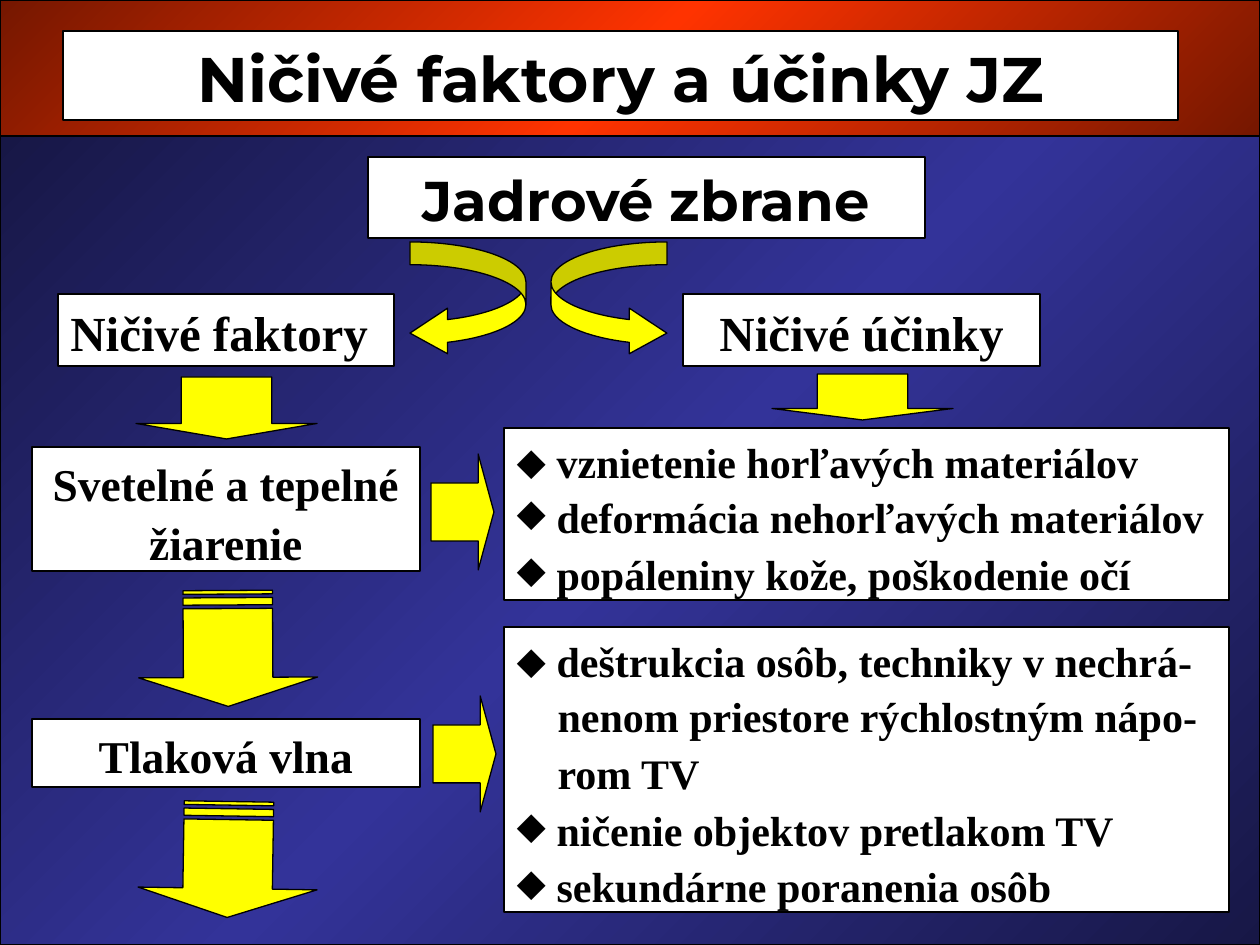
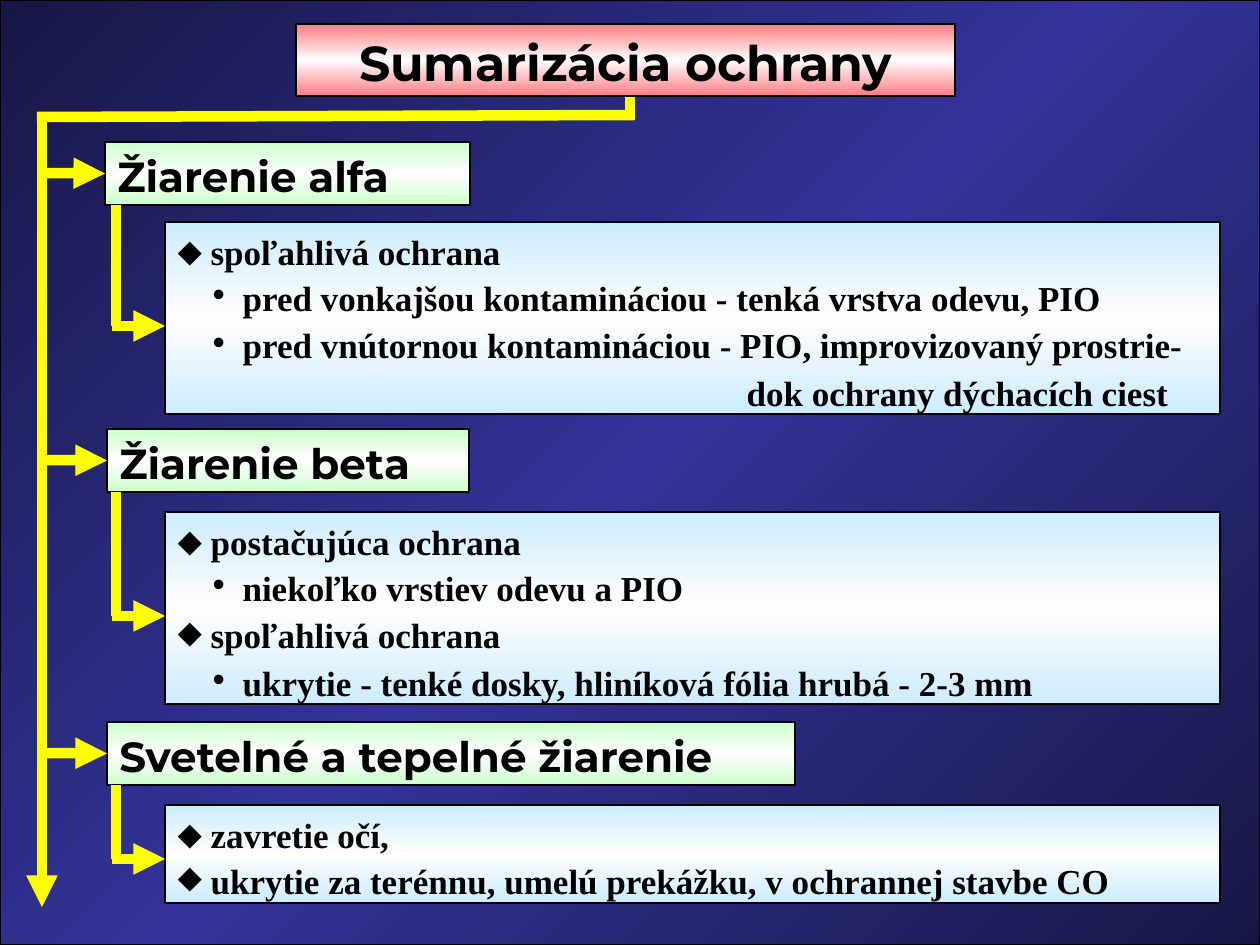
from copy import deepcopy

from pptx import Presentation
from pptx import util as u
from pptx.dml.color import RGBColor
from pptx.enum import shapes, text
from pptx.oxml.ns import qn
from lxml import etree

SCALE = 914400 / 126
WIDTH, HEIGHT = 1260, 945
BAND_HEIGHT = 136

BLACK = RGBColor(0x00, 0x00, 0x00)
WHITE = RGBColor(0xFF, 0xFF, 0xFF)
YELLOW = RGBColor(0xFF, 0xFF, 0x00)
NIGHT = (RGBColor(0x17, 0x17, 0x46), RGBColor(0x33, 0x33, 0x99), 315)
FIRE = (RGBColor(0x75, 0x17, 0x00), RGBColor(0xFF, 0x33, 0x00), 315)
PINK = (RGBColor(0xFF, 0x7C, 0x80), RGBColor(0xFE, 0xFE, 0xFE), 90)
GREEN = (RGBColor(0xCC, 0xFF, 0xCC), RGBColor(0xFE, 0xFE, 0xFE), 90)
SKY = (RGBColor(0xCC, 0xEC, 0xFF), RGBColor(0xFE, 0xFE, 0xFE), 90)

SANS, SERIF, BULLET_FONT = "Montserrat", "Times New Roman", "Arial"
LEFT, CENTER = text.PP_ALIGN.LEFT, text.PP_ALIGN.CENTER
FRAME = {
    "word_wrap": True,
    "auto_size": text.MSO_AUTO_SIZE.NONE,
    "vertical_anchor": text.MSO_ANCHOR.TOP,
    "margin_left": u.Inches(0.1),
    "margin_right": u.Inches(0.1),
    "margin_top": u.Inches(0.07),
    "margin_bottom": u.Inches(0.03),
}
FACTOR_STYLES = {"item": ("⬥", 40, 40), "more": (None, 41, 0)}
PROTECTION_STYLES = {
    "item": ("⬥", 33, 33),
    "sub": ("•", 65, 30),
    "more": (None, 569, 0),
}

FACTOR_LISTS = [
    ((504, 428, 725, 172), [
        ("item", "vznietenie horľavých materiálov"),
        ("item", "deformácia nehorľavých materiálov"),
        ("item", "popáleniny kože, poškodenie očí"),
    ]),
    ((504, 627, 725, 285), [
        ("item", "deštrukcia osôb, techniky v nechrá-"),
        ("more", "nenom priestore rýchlostným nápo-"),
        ("more", "rom TV"),
        ("item", "ničenie objektov pretlakom TV"),
        ("item", "sekundárne poranenia osôb"),
    ]),
]
FACTOR_LABELS = [
    ((368, 157, 557, 81), ["Jadrové zbrane"], 32, SANS, CENTER),
    ((58, 294, 336, 72), ["Ničivé faktory"], 28, SERIF, LEFT),
    ((683, 294, 357, 72), ["Ničivé účinky"], 28, SERIF, CENTER),
    ((32, 447, 388, 124), ["Svetelné a tepelné", "žiarenie"], 26, SERIF, CENTER),
    ((32, 719, 388, 68), ["Tlaková vlna"], 26, SERIF, CENTER),
]
KIND = shapes.MSO_SHAPE
FACTOR_ARROWS = [
    (KIND.CURVED_LEFT_ARROW, (410, 242, 116, 114), (0.2, 0.4, 0.33), 0),
    (KIND.CURVED_RIGHT_ARROW, (551, 242, 116, 114), (0.2, 0.4, 0.33), 0),
    (KIND.DOWN_ARROW, (136, 377, 181, 62), (0.5, 0.25), 0),
    (KIND.DOWN_ARROW, (772, 374, 181, 46), (0.5, 0.25), 0),
    (KIND.RIGHT_ARROW, (431, 454, 63, 116), (0.5, 0.25), 0),
    (KIND.RIGHT_ARROW, (433, 696, 63, 116), (0.5, 0.25), 0),
    (KIND.STRIPED_RIGHT_ARROW, (170, 559, 116, 179), (0.5, 0.25), 89.7),
    (KIND.STRIPED_RIGHT_ARROW, (170, 770, 116, 179), (0.5, 0.25), 90.9),
]
PROTECTIONS = [
    ("Žiarenie alfa", (105, 142, 365, 63), (165, 222, 1055, 192), 326, [
        ("item", "spoľahlivá ochrana"),
        ("sub", "pred vonkajšou kontamináciou - tenká vrstva odevu, PIO"),
        ("sub", "pred vnútornou kontamináciou - PIO, improvizovaný prostrie-"),
        ("more", "dok ochrany dýchacích ciest"),
    ]),
    ("Žiarenie beta", (107, 429, 362, 63), (165, 512, 1055, 192), 616, [
        ("item", "postačujúca ochrana"),
        ("sub", "niekoľko vrstiev odevu a PIO"),
        ("item", "spoľahlivá ochrana"),
        ("sub", "ukrytie - tenké dosky, hliníková fólia hrubá - 2-3 mm"),
    ]),
    ("Svetelné a tepelné žiarenie", (107, 722, 688, 63), (165, 805, 1055, 98), 859, [
        ("item", "zavretie očí,"),
        ("item", "ukrytie za terénnu, umelú prekážku, v ochrannej stavbe CO"),
    ]),
]


def px(length):
    """Turn a length in px into EMU."""
    return u.Emu(round(length * SCALE))


def assign(target, values):
    """Set each attribute named in a dict of format values."""
    for name, value in values.items():
        setattr(target, name, value)


def place(shape, box):
    """Move a placeholder to a box."""
    assign(shape, dict(zip(("left", "top", "width", "height"), map(px, box))))


def paint(shape, fill):
    """Fill a shape with a colour or a mirrored gradient, and outline it."""
    if isinstance(fill, RGBColor):
        shape.fill.solid()
        shape.fill.fore_color.rgb = fill
    else:
        edge, middle, angle = fill
        shape.fill.gradient()
        shape.fill.gradient_angle = angle
        first, second = shape.fill.gradient_stops
        first.color.rgb, second.color.rgb = edge, middle
        first.position, second.position = 0, 0.5
        stops = shape._element.spPr.find(qn("a:gradFill")).find(qn("a:gsLst"))
        last = deepcopy(stops[0])
        last.set("pos", "100000")
        stops.append(last)
    shape.line.color.rgb = BLACK
    shape.line.width = u.Pt(0.75)


def set_bullet(paragraph, style):
    """Give a paragraph its indents and bullet."""
    mark, margin, hanging = style
    properties = paragraph._p.get_or_add_pPr()
    properties.set("marL", str(px(margin)))
    properties.set("indent", str(px(-hanging)))
    if mark:
        etree.SubElement(properties, qn("a:buFont")).set("typeface", BULLET_FONT)
        etree.SubElement(properties, qn("a:buChar")).set("char", mark)
    else:
        etree.SubElement(properties, qn("a:buNone"))


def write(shape, lines, size, font, align=LEFT, styles=None):
    """Write lines of text, or (style, text) items, into a shape."""
    frame = shape.text_frame
    assign(frame, FRAME)
    for number, line in enumerate(lines):
        paragraph = frame.add_paragraph() if number else frame.paragraphs[0]
        if styles:
            kind, line = line
            set_bullet(paragraph, styles[kind])
        assign(paragraph, {
            "alignment": align,
            "line_spacing": 0.5 if number else 1.0,
            "space_before": u.Pt(size * 0.625 if number else 0),
            "space_after": u.Pt(size * 0.125 if number else 0),
        })
        run = paragraph.add_run()
        run.text = line
        assign(run.font, {"name": font, "size": u.Pt(size), "bold": True})
        run.font.color.rgb = BLACK


def add_backdrop(slide, box, fill):
    """Put a gradient panel behind everything on the slide."""
    panel = slide.shapes.add_shape(KIND.RECTANGLE, *map(px, box))
    panel.shadow.inherit = False
    paint(panel, fill)
    slide.shapes._spTree.insert(2, panel._element)


def set_title(slide, box, words, size, fill):
    """Place and format the slide title."""
    title = slide.shapes.title
    place(title, box)
    paint(title, fill)
    write(title, [words], size, SANS, CENTER)


def set_list(body, box, items, size, fill, styles):
    """Place and format a bulleted list in a body placeholder."""
    place(body, box)
    paint(body, fill)
    write(body, items, size, SERIF, LEFT, styles)


def add_label(slide, box, lines, size, font, align, fill=WHITE):
    """Add a framed label and return it."""
    label = slide.shapes.add_textbox(*map(px, box))
    paint(label, fill)
    write(label, lines, size, font, align)
    return label


def add_block_arrow(slide, kind, box, adjustments, rotation):
    """Add a yellow block arrow."""
    arrow = slide.shapes.add_shape(kind, *map(px, box))
    arrow.shadow.inherit = False
    arrow.rotation = rotation
    for number, value in enumerate(adjustments):
        arrow.adjustments[number] = value
    paint(arrow, YELLOW)


def add_line(slide, start, end, arrow=False):
    """Add a thick yellow line, with or without an arrowhead."""
    line = slide.shapes.add_connector(
        shapes.MSO_CONNECTOR.STRAIGHT, *map(px, start + end))
    line.line.color.rgb = YELLOW
    line.line.width = u.Pt(6)
    if arrow:
        etree.SubElement(line.line._ln, qn("a:tailEnd")).set("type", "triangle")
    etree.SubElement(line._element.spPr, qn("a:effectLst"))
    return line


def body_placeholders(slide):
    """List the placeholders of a slide other than its title."""
    return [shape for shape in slide.placeholders
            if shape.placeholder_format.idx > 0]


def add_protection(slide, body, words, heading_box, list_box, arrow_y, items):
    """Add one kind of radiation with its protection list and arrows."""
    left, top, _, height = heading_box
    heading = add_label(slide, heading_box, [words], 24, SANS, LEFT, GREEN)
    set_list(body, list_box, items, 20, SKY, PROTECTION_STYLES)
    middle = top + height // 2
    branch = add_line(slide, (42, middle), (left, middle), True)
    branch.end_connect(heading, 1)
    add_line(slide, (116, top + height), (116, arrow_y))
    add_line(slide, (112, arrow_y), (list_box[0], arrow_y), True)


def build_factors(presentation):
    """Build the slide on destructive factors and effects."""
    slide = presentation.slides.add_slide(presentation.slide_layouts[3])
    add_backdrop(slide, (0, 0, WIDTH, BAND_HEIGHT), FIRE)
    add_backdrop(slide, (0, BAND_HEIGHT, WIDTH, HEIGHT - BAND_HEIGHT), NIGHT)
    set_title(slide, (63, 31, 1115, 89), "Ničivé faktory a účinky JZ", 36, WHITE)
    for body, (box, items) in zip(body_placeholders(slide), FACTOR_LISTS):
        set_list(body, box, items, 24, WHITE, FACTOR_STYLES)
    for label in FACTOR_LABELS:
        add_label(slide, *label)
    for arrow in FACTOR_ARROWS:
        add_block_arrow(slide, *arrow)


def build_protection(presentation):
    """Build the slide that sums up protection."""
    slide = presentation.slides.add_slide(presentation.slide_layouts[4])
    add_backdrop(slide, (0, 0, WIDTH, HEIGHT), NIGHT)
    set_title(slide, (296, 24, 659, 72), "Sumarizácia ochrany", 28, PINK)
    *bodies, spare = body_placeholders(slide)
    spare._element.getparent().remove(spare._element)
    add_line(slide, (630, 97), (630, 118))
    add_line(slide, (635, 115), (37, 117))
    add_line(slide, (42, 113), (42, 907), True)
    for body, protection in zip(bodies, PROTECTIONS):
        add_protection(slide, body, *protection)


def main():
    """Build and save the presentation."""
    presentation = Presentation()
    presentation.slide_width = px(WIDTH)
    presentation.slide_height = px(HEIGHT)
    build_factors(presentation)
    build_protection(presentation)
    presentation.save("out.pptx")


if __name__ == "__main__":
    main()
